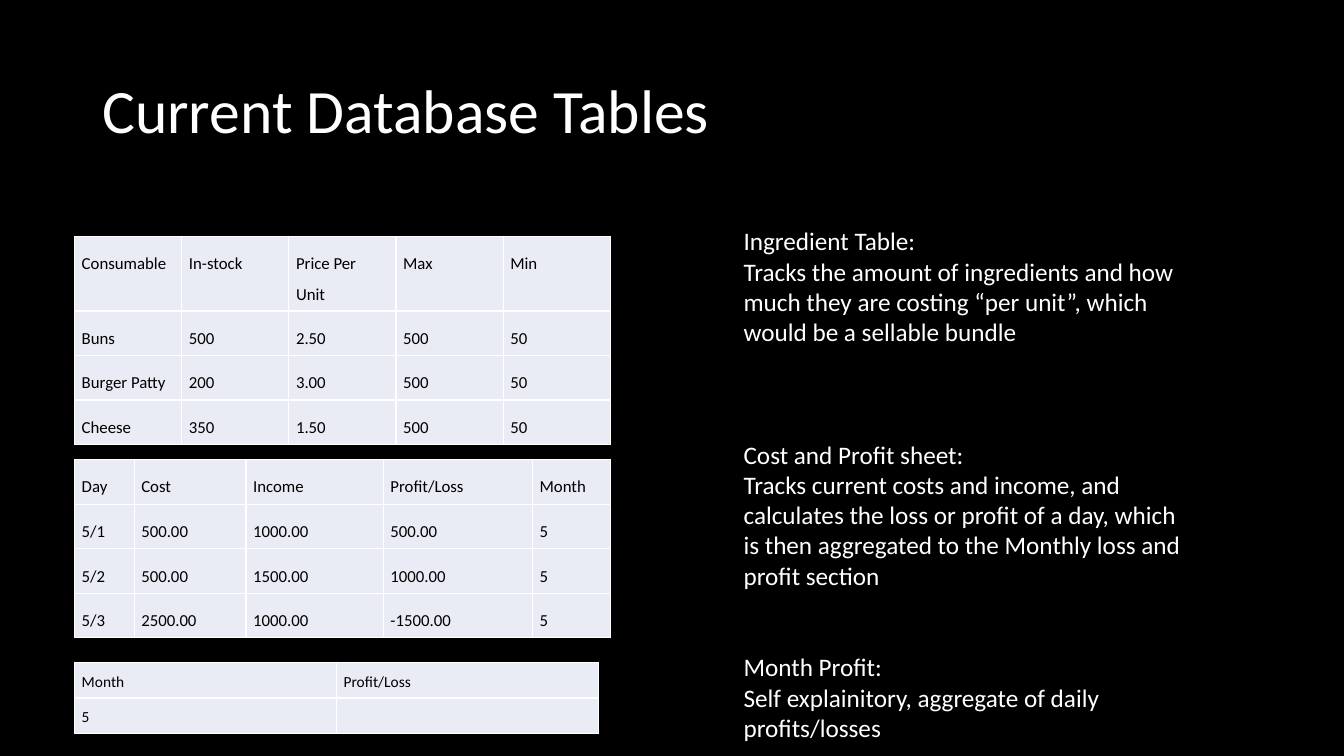
from lxml import etree
from pptx import Presentation
from pptx.dml.color import RGBColor
from pptx.enum.text import MSO_ANCHOR
from pptx.oxml.ns import qn
from pptx.util import Cm, Pt

MIDDLE, TOP = MSO_ANCHOR.MIDDLE, MSO_ANCHOR.TOP
FONT = "Calibri"
BLACK, WHITE, PALE = "000000", "FFFFFF", "E9EBF5"

# Content
TITLE = "Current Database Tables"
INGREDIENTS = [
    ("Consumable", "In-stock", "Price Per Unit", "Max", "Min"),
    ("Buns", "500", "2.50", "500", "50"),
    ("Burger Patty", "200", "3.00", "500", "50"),
    ("Cheese", "350", "1.50", "500", "50"),
]
DAILY_PROFIT = [
    ("Day", "Cost", "Income", "Profit/Loss", "Month"),
    ("5/1", "500.00", "1000.00", "500.00", "5"),
    ("5/2", "500.00", "1500.00", "1000.00", "5"),
    ("5/3", "2500.00", "1000.00", "-1500.00", "5"),
]
MONTH_PROFIT = [("Month", "Profit/Loss"), ("5", "")]

# Rows, top, column widths, row height (cm), text size (pt), line spacing
TABLES = [
    (INGREDIENTS, 5.95, [2.7] * 5, 1.12, 12, 1.5),
    (DAILY_PROFIT, 11.58, [1.5, 2.82, 3.46, 3.76, 1.96], 1.12, 12, 1.5),
    (MONTH_PROFIT, 16.69, [6.6] * 2, 0.9, 11, 1.15),
]
TABLE_LEFT = 1.88

# Heading, explanation, gap above (pt)
NOTES = [
    ("Ingredient Table:",
     "Tracks the amount of ingredients and how much they are costing "
     "“per unit”, which would be a sellable bundle", 0),
    ("Cost and Profit sheet:",
     "Tracks current costs and income, and calculates the loss or profit of a day, "
     "which is then aggregated to the Monthly loss and profit section", 66),
    ("Month Profit:",
     "Self explainitory, aggregate of daily profits/losses", 44),
]

CELL_FORMAT = {f"margin_{side}": Cm(0.18) for side in ("left", "right", "top", "bottom")}
TABLE_FORMAT = {"first_row": False, "horz_banding": False}


def rgb(color):
    return RGBColor.from_string(color)


def apply(target, values):
    for name, value in values.items():
        setattr(target, name, value)


def write(paragraph, text, size, color, **spacing):
    apply(paragraph, spacing)
    if text:
        run = paragraph.add_run()
        run.text = text
        apply(run.font, {"size": Pt(size), "name": FONT})
        run.font.color.rgb = rgb(color)
    else:
        # Keeps an empty cell as low as its row
        etree.SubElement(paragraph._p, qn("a:endParaRPr"), sz=str(size * 100))


def add_text_frame(slide, left, top, width, height, anchor):
    frame = slide.shapes.add_textbox(Cm(left), Cm(top), Cm(width), Cm(height)).text_frame
    apply(frame, {"word_wrap": True, "vertical_anchor": anchor})
    return frame


def add_borders(cell, color):
    properties = cell._tc.get_or_add_tcPr()
    for side in ("lnL", "lnR", "lnT", "lnB"):
        border = etree.SubElement(properties, qn(f"a:{side}"), w=str(Pt(1)))
        fill = etree.SubElement(border, qn("a:solidFill"))
        etree.SubElement(fill, qn("a:srgbClr"), val=color)


def add_data_table(slide, rows, top, widths, row_height, size, line_spacing):
    table = slide.shapes.add_table(
        len(rows), len(widths), Cm(TABLE_LEFT), Cm(top),
        Cm(sum(widths)), Cm(row_height * len(rows))).table
    apply(table, TABLE_FORMAT)
    for column, width in zip(table.columns, widths):
        column.width = Cm(width)
    for r, row in enumerate(rows):
        table.rows[r].height = Cm(row_height)
        for c, text in enumerate(row):
            cell = table.cell(r, c)
            apply(cell, CELL_FORMAT)
            add_borders(cell, WHITE)
            cell.fill.solid()
            cell.fill.fore_color.rgb = rgb(PALE)
            write(cell.text_frame.paragraphs[0], text, size, BLACK,
                  line_spacing=line_spacing)


# Slide
deck = Presentation()
apply(deck, {"slide_width": Cm(33.87), "slide_height": Cm(19.05)})
slide = deck.slides.add_slide(deck.slide_layouts[6])
slide.background.fill.solid()
slide.background.fill.fore_color.rgb = rgb(BLACK)

# Title
title = add_text_frame(slide, 2.33, 1.01, 29.21, 3.68, MIDDLE)
write(title.paragraphs[0], TITLE, 44, WHITE, line_spacing=0.9)

# Database tables
for data_table in TABLES:
    add_data_table(slide, *data_table)

# Explanations beside the tables
notes = add_text_frame(slide, 18.49, 5.56, 11.68, 13.4, TOP)
for i, (heading, explanation, gap) in enumerate(NOTES):
    first = notes.add_paragraph() if i else notes.paragraphs[0]
    write(first, heading, 18, WHITE, space_before=Pt(gap))
    write(notes.add_paragraph(), explanation, 18, WHITE)

deck.save("out.pptx")
